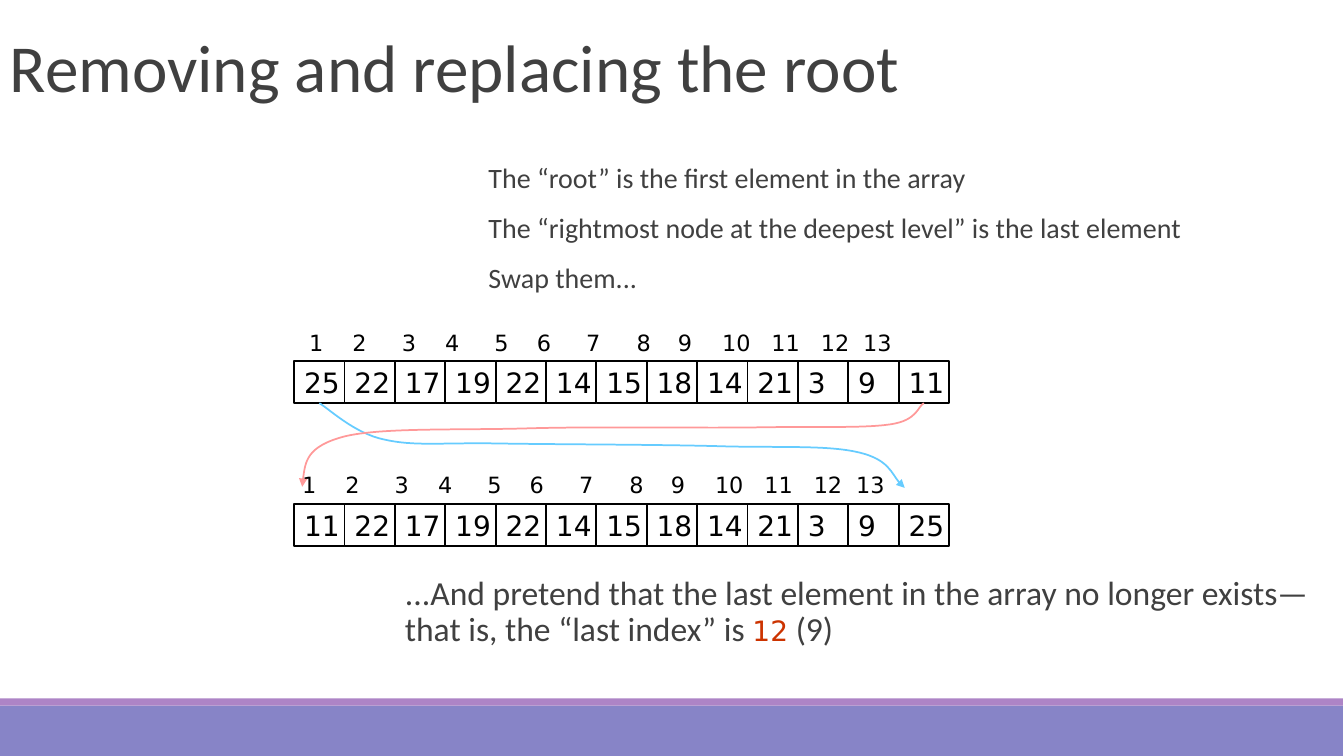
import pptx
import pptx.dml.color
import pptx.enum.shapes
import pptx.enum.text
import pptx.oxml.ns
import pptx.util
from lxml import etree
from pptx.util import Inches

THEME = {
    "text": "404040",
    "black": "000000",
    "accent": "CC3300",
    "violet": "8784C7",
    "lilac": "AD84C6",
    "blue": "66CCFF",
    "pink": "FF9999",
    "sans": "Calibri",
    "digits": "DejaVu Sans",
    "title": 48,
    "note": 24,
    "body": 20,
    "index": 16,
    "line": 1.25,
}


def style(font, face, size, color):
    font.name = THEME[face]
    font.size = pptx.util.Pt(THEME[size])
    font.color.rgb = pptx.dml.color.RGBColor.from_string(THEME[color])


def add_box(page, left, top, width, height):
    box = page.shapes.add_textbox(Inches(left), Inches(top), Inches(width), Inches(height))
    box.text_frame.word_wrap = True
    return box.text_frame


deck = pptx.Presentation()
deck.slide_width = Inches(13.34)
deck.slide_height = Inches(7.5)
page = deck.slides.add_slide(deck.slide_layouts[6])

for top, height, color in [(7, 0.5, "violet"), (6.93, 0.07, "lilac")]:
    bar = page.shapes.add_shape(
        pptx.enum.shapes.MSO_SHAPE.RECTANGLE, 0, Inches(top), Inches(13.33), Inches(height))
    bar.shadow.inherit = False
    bar.fill.solid()
    bar.fill.fore_color.rgb = pptx.dml.color.RGBColor.from_string(THEME[color])
    bar.line.fill.background()

title = add_box(page, 0, 0.31, 9.42, 0.79)
title.vertical_anchor = pptx.enum.text.MSO_ANCHOR.BOTTOM
para = title.paragraphs[0]
para.text = "Removing and replacing the root"
para.line_spacing = 0.85
style(para.font, "sans", "title", "text")

steps = [
    "The “root” is the first element in the array",
    "The “rightmost node at the deepest level” is the last element",
    "Swap them...",
]
body = add_box(page, 4.75, 1.58, 8.58, 1.5)
body.margin_right = 0
for number, step in enumerate(steps):
    para = body.add_paragraph() if number else body.paragraphs[0]
    para.text = step
    para.line_spacing = 0.9
    para.space_before = pptx.util.Pt(12 if number else 0)
    para.space_after = pptx.util.Pt(2)
    style(para.font, "sans", "body", "text")

note = add_box(page, 3.92, 5.67, 9.42, 1.41)
note.margin_right = 0
para = note.paragraphs[0]
para.line_spacing = 0.9
for text, face, size, color in [
    ("...And pretend that the last element in the array no longer exists—"
     "that is, the “last index” is ", "sans", "note", "text"),
    ("12", "digits", "body", "accent"),
    (" (9)", "sans", "note", "text"),
]:
    span = para.add_run()
    span.text = text
    style(span.font, face, size, color)

before = [25, 22, 17, 19, 22, 14, 15, 18, 14, 21, 3, 9, 11]
after = [before[-1], *before[1:-1], before[0]]
index_centers = [0.21, 0.64, 1.13, 1.56, 2.05, 2.47, 2.96, 3.46, 3.87, 4.38, 4.87, 5.36, 5.78]

for values, cell_top, index_left, index_top in [
    (before, 3.58, 2.83, 3.22),
    (after, 5, 2.76, 4.63),
]:
    for column, value in enumerate(values):
        cell = page.shapes.add_shape(
            pptx.enum.shapes.MSO_SHAPE.RECTANGLE,
            Inches(2.92 + 0.5 * column), Inches(cell_top), Inches(0.5), Inches(0.42))
        cell.shadow.inherit = False
        cell.fill.background()
        cell.line.color.rgb = pptx.dml.color.RGBColor.from_string(THEME["black"])
        cell.line.width = pptx.util.Pt(THEME["line"])
        cell.text_frame.word_wrap = False
        cell.text_frame.vertical_anchor = pptx.enum.text.MSO_ANCHOR.MIDDLE
        para = cell.text_frame.paragraphs[0]
        para.text = str(value)
        para.alignment = pptx.enum.text.PP_ALIGN.LEFT
        style(para.font, "digits", "body", "black")

    para = add_box(page, index_left, index_top, 6.92, 0.37).paragraphs[0]
    para.text = "".join(f"\t{number}" for number in range(1, len(values) + 1))
    tabs = etree.SubElement(para._p.get_or_add_pPr(), pptx.oxml.ns.qn("a:tabLst"))
    for center in index_centers:
        etree.SubElement(tabs, pptx.oxml.ns.qn("a:tab"), pos=str(Inches(center)), algn="ctr")
    style(para.font, "digits", "index", "black")

swap_curves = [
    ("blue", [
        (3.17, 4), (3.27, 4.06), (3.52, 4.3), (3.81, 4.36),
        (4.11, 4.43), (4.38, 4.39), (4.95, 4.4),
        (5.52, 4.41), (6.64, 4.41), (7.24, 4.43),
        (7.84, 4.44), (8.24, 4.42), (8.53, 4.49),
        (8.82, 4.56), (8.88, 4.77), (8.98, 4.84)]),
    ("pink", [
        (9.17, 4), (9.11, 4.03), (9.11, 4.17), (8.84, 4.21),
        (8.57, 4.25), (8.14, 4.23), (7.54, 4.24),
        (6.94, 4.25), (5.94, 4.23), (5.25, 4.25),
        (4.56, 4.27), (3.79, 4.24), (3.42, 4.33),
        (3.04, 4.43), (3.02, 4.63), (3, 4.83)]),
]
for color, points in swap_curves:
    start, *controls = [(Inches(x), Inches(y)) for x, y in points]
    builder = page.shapes.build_freeform(*start)
    builder.add_line_segments(controls, close=False)
    curve = builder.convert_to_shape()
    curve.shadow.inherit = False
    curve.fill.background()
    curve.line.color.rgb = pptx.dml.color.RGBColor.from_string(THEME[color])
    curve.line.width = pptx.util.Pt(THEME["line"])
    etree.SubElement(curve.line._get_or_add_ln(), pptx.oxml.ns.qn("a:tailEnd"), type="triangle")

    segments = list(curve._element.iter(pptx.oxml.ns.qn("a:lnTo")))
    outline = segments[0].getparent()
    for first in range(0, len(segments), 3):
        bezier = etree.SubElement(outline, pptx.oxml.ns.qn("a:cubicBezTo"))
        for segment in segments[first:first + 3]:
            bezier.append(segment[0])
            outline.remove(segment)

deck.save("out.pptx")
